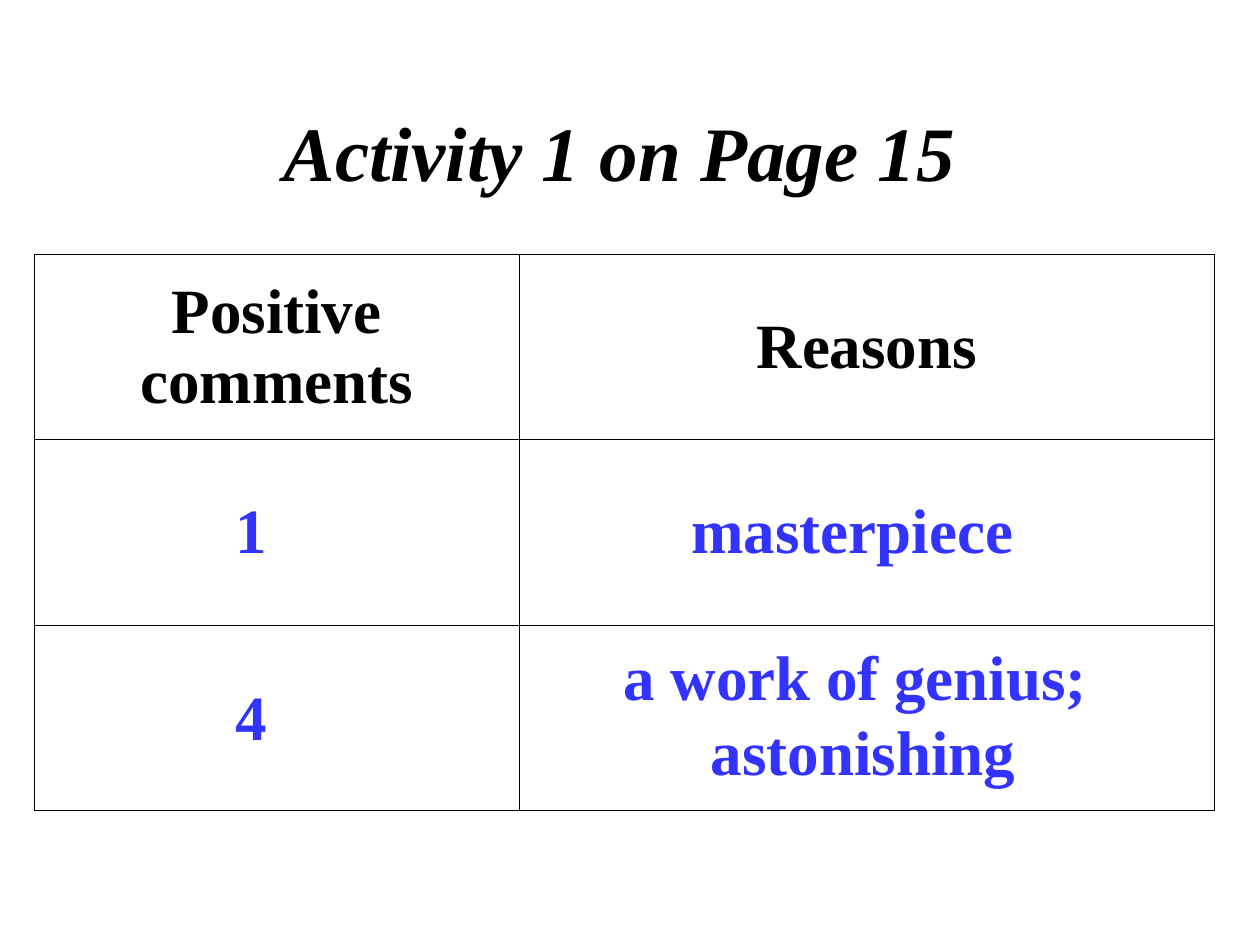
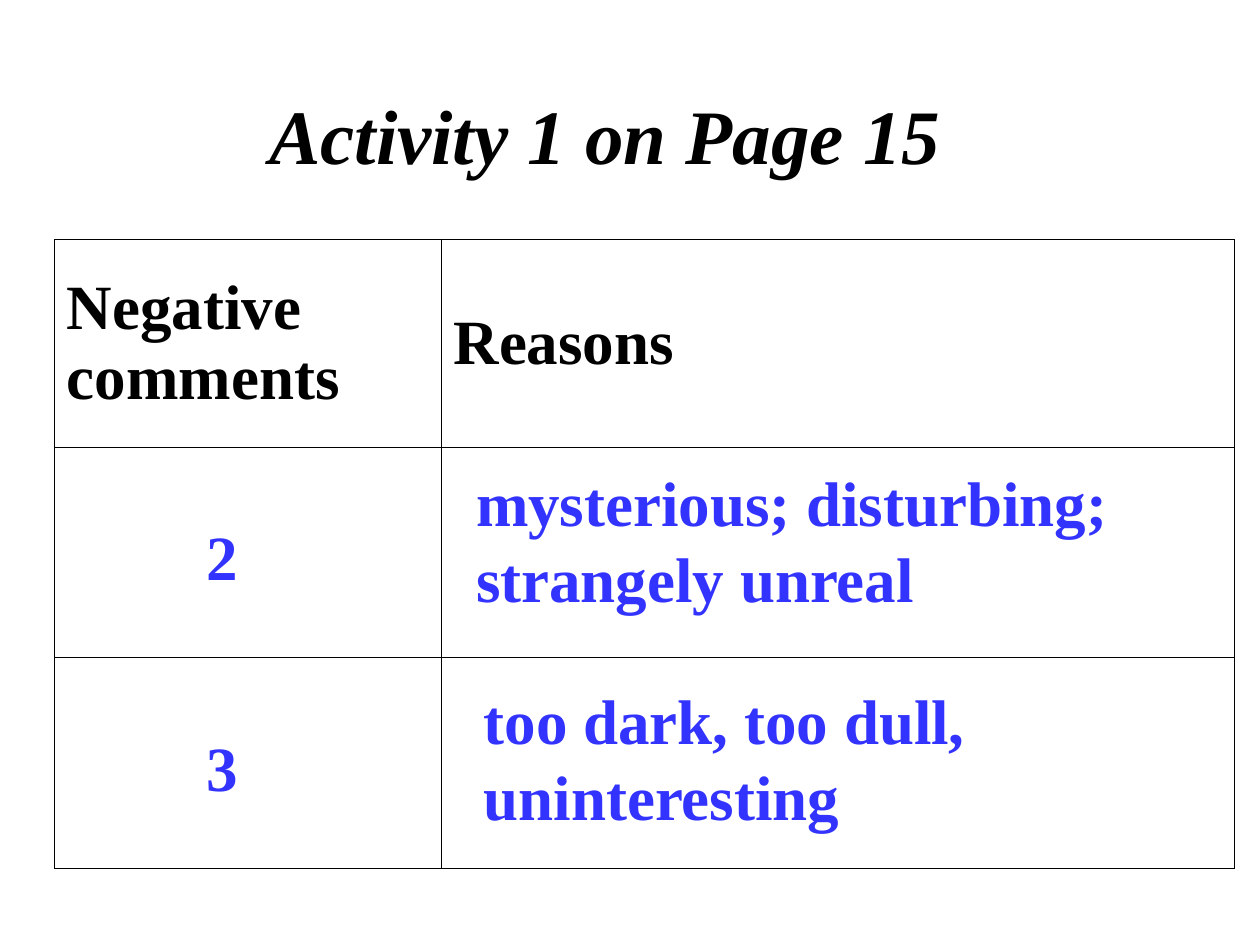
from dataclasses import dataclass

from lxml import etree
from pptx import Presentation
from pptx.dml.color import RGBColor as RGB
from pptx.enum.text import MSO_ANCHOR as Anchor, MSO_AUTO_SIZE as AutoSize, PP_ALIGN as Align
from pptx.oxml.ns import qn
from pptx.util import Inches, Pt


@dataclass(frozen=True)
class Theme:
    font: str = "Times New Roman"
    ink: str = "000000"
    answer: str = "3333FF"
    title_size: int = 44
    body_size: int = 36
    border_width: float = 0.45


THEME = Theme()
TITLE = "Activity 1 on Page 15"


def style(paragraph, size, color, align, italic=False):
    paragraph.alignment = align
    font = paragraph.font
    font.name = THEME.font
    font.size = Pt(size)
    font.bold = True
    font.italic = italic
    font.color.rgb = RGB.from_string(color)


def add_text_frame(slide, left, top, width, height):
    frame = slide.shapes.add_textbox(*map(Inches, (left, top, width, height))).text_frame
    frame.word_wrap = True
    return frame


def add_title(slide, left, top, width, height):
    frame = add_text_frame(slide, left, top, width, height)
    frame.vertical_anchor = Anchor.MIDDLE
    frame.text = TITLE
    style(frame.paragraphs[0], THEME.title_size, THEME.ink, Align.CENTER, italic=True)


def add_answer(slide, lines, left, top, width, align=Align.LEFT):
    height = 0.1 + 0.6 * len(lines)
    frame = add_text_frame(slide, left, top, width, height)
    frame.auto_size = AutoSize.SHAPE_TO_FIT_TEXT
    frame.text = "\n".join(lines)
    for paragraph in frame.paragraphs:
        style(paragraph, THEME.body_size, THEME.answer, align)


def add_number(slide, number, left, top):
    add_answer(slide, [number], left, top, 0.45)


def set_borders(cell):
    properties = cell._tc.get_or_add_tcPr()
    for position, side in enumerate(("a:lnL", "a:lnR", "a:lnT", "a:lnB")):
        line = etree.Element(qn(side), w=str(Pt(THEME.border_width)))
        fill = etree.SubElement(line, qn("a:solidFill"))
        etree.SubElement(fill, qn("a:srgbClr"), val=THEME.ink)
        properties.insert(position, line)


def add_comment_grid(slide, left, top, column_widths, row_heights, headings, align):
    table = slide.shapes.add_table(
        len(row_heights), len(column_widths), Inches(left), Inches(top),
        Inches(sum(column_widths)), Inches(sum(row_heights))).table
    table.first_row = table.horz_banding = False
    for column, width in zip(table.columns, column_widths):
        column.width = Inches(width)
    for row, height in zip(table.rows, row_heights):
        row.height = Inches(height)
    for cell in table.iter_cells():
        cell.fill.background()
        set_borders(cell)
    for cell, heading in zip(table.rows[0].cells, headings):
        cell.text = heading
        cell.vertical_anchor = Anchor.MIDDLE
        style(cell.text_frame.paragraphs[0], THEME.body_size, THEME.ink, align)


def build_positive(slide):
    add_title(slide, 1.69, 0.44, 6.46, 1.51)
    add_comment_grid(slide, 0.27, 2.02, (3.85, 5.52), (1.47,) * 3,
                     ("Positive comments", "Reasons"), Align.CENTER)
    add_number(slide, "1", 1.77, 3.84)
    add_number(slide, "4", 1.77, 5.33)
    add_answer(slide, ["masterpiece"], 5.39, 3.84, 2.85)
    add_answer(slide, ["a work of genius; ", "astonishing"], 4.75, 5.01, 4.2, Align.CENTER)


def build_negative(slide):
    add_comment_grid(slide, 0.43, 1.9, (3.07, 6.3), (1.65, 1.67, 1.67),
                     ("Negative comments", "Reasons"), Align.LEFT)
    add_number(slide, "2", 1.54, 4.06)
    add_number(slide, "3", 1.54, 5.73)
    add_answer(slide, ["mysterious; disturbing;", "strangely unreal"], 3.68, 3.63, 5.34)
    add_answer(slide, ["too dark, too dull,", "uninteresting"], 3.74, 5.36, 4.88)
    add_title(slide, 1.54, 0.57, 6.53, 0.98)


def main():
    deck = Presentation()
    deck.slide_width, deck.slide_height = Inches(10), Inches(7.5)
    blank = deck.slide_layouts[6]
    for build in (build_positive, build_negative):
        build(deck.slides.add_slide(blank))
    deck.save("out.pptx")


if __name__ == "__main__":
    main()
